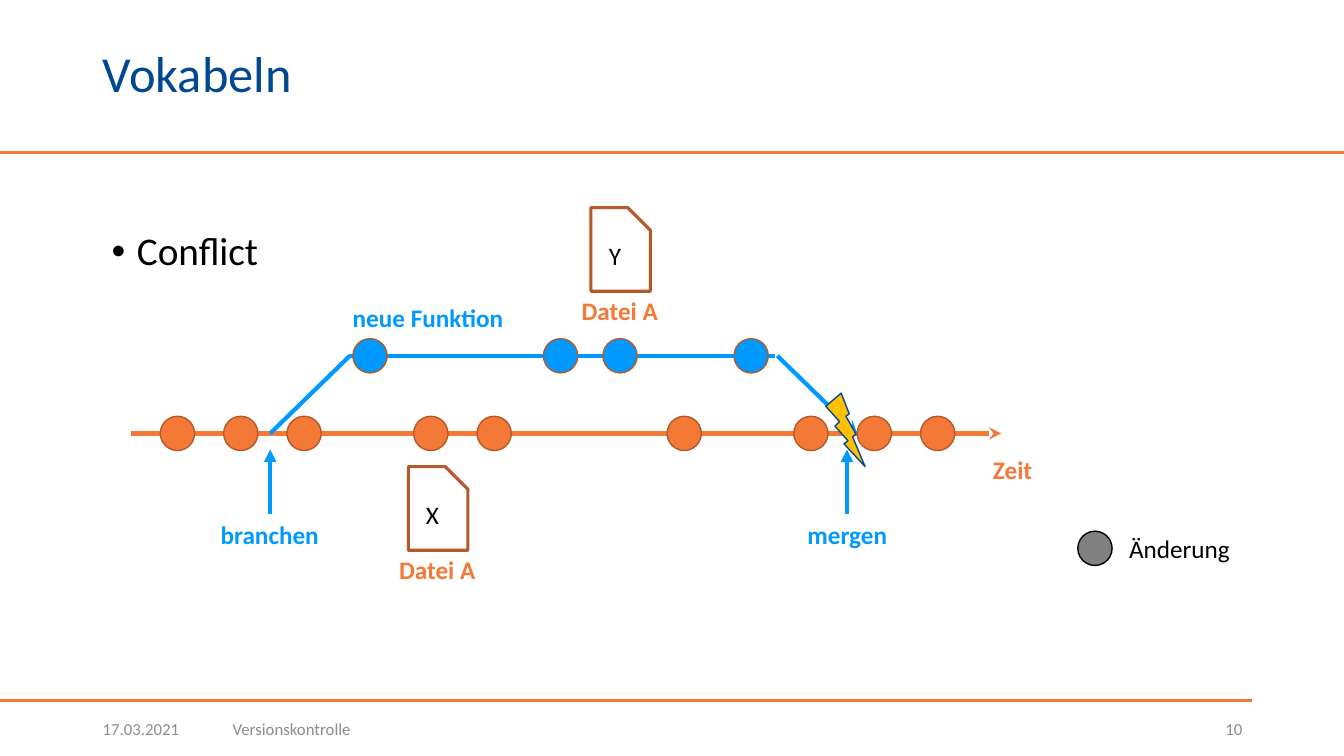
from lxml import etree
from pptx import Presentation
from pptx import util as u
from pptx.dml.color import RGBColor
from pptx.enum import shapes, text
from pptx.oxml.ns import qn

HUES = {"main": "F47836", "rule": "F47936", "edge": "B55928", "branch": "0099FF",
        "navy": "004990", "black": "000000", "grey": "808080", "foot": "8C8C8C",
        "white": "FFFFFF", "bolt": "FFC000"}
KINDS = shapes.MSO_SHAPE
LEFT, MID, RIGHT = text.PP_ALIGN.LEFT, text.PP_ALIGN.CENTER, text.PP_ALIGN.RIGHT
TOP, HALF = text.MSO_ANCHOR.TOP, text.MSO_ANCHOR.MIDDLE


def hue(name):
    return RGBColor.from_string(HUES[name])


class Deck:
    font = "Calibri"
    dot_size = 0.34

    def __init__(self, wide, high):
        self.show = Presentation()
        self.show.slide_width = u.Inches(wide)
        self.show.slide_height = u.Inches(high)
        self.page = self.show.slides.add_slide(self.show.slide_layouts[5])

    def fill_text(self, shape, words, size, color, bold=False, align=LEFT, anchor=TOP, wrap=True):
        frame = shape.text_frame
        frame.text = words
        frame.word_wrap = wrap
        frame.auto_size = text.MSO_AUTO_SIZE.NONE
        frame.vertical_anchor = anchor
        para = frame.paragraphs[0]
        para.alignment = align
        para.font.name = self.font
        para.font.size = u.Pt(size)
        para.font.bold = bold
        para.font.color.rgb = hue(color)
        return para

    def title(self, words, *area):
        shape = self.page.shapes.title
        shape.left, shape.top, shape.width, shape.height = map(u.Inches, area)
        self.fill_text(shape, words, 36, "navy", anchor=HALF).line_spacing = 0.9

    def label(self, words, area, size=18, color="black", **style):
        box = self.page.shapes.add_textbox(*map(u.Inches, area))
        return self.fill_text(box, words, size, color, **style)

    def tag(self, words, left, top, width, color, bold=True):
        self.label(words, (left, top, width, 0.4), color=color, bold=bold, wrap=False)

    def foot(self, words, left, width, align=LEFT):
        self.label(words, (left, 7.03, width, 0.4), 12, "foot", align=align, anchor=HALF)

    def bullet(self, words, *area):
        para = self.label(words, area, 28)
        para.line_spacing = 0.9
        para.space_before = u.Pt(10)
        props = para._p.get_or_add_pPr()
        props.set("marL", str(u.Inches(0.25)))
        props.set("indent", str(u.Inches(-0.25)))
        mark = etree.Element(qn("a:buChar"), char="•")
        face = etree.Element(qn("a:buFont"), typeface="Arial")
        props.find(qn("a:defRPr")).addprevious(face)
        face.addnext(mark)

    def line(self, start, end, color, width=3, head=None, tail=None):
        line = self.page.shapes.add_connector(
            shapes.MSO_CONNECTOR.STRAIGHT, *map(u.Inches, (*start, *end)))
        line.line.color.rgb = hue(color)
        line.line.width = u.Pt(width)
        stroke = line._element.spPr.find(qn("a:ln"))
        for side, tip in (("a:headEnd", head), ("a:tailEnd", tail)):
            if tip:
                etree.SubElement(stroke, qn(side)).set("type", tip)
        etree.SubElement(line._element.spPr, qn("a:effectLst"))

    def shape(self, kind, area, fill, edge, width=1):
        shape = self.page.shapes.add_shape(kind, *map(u.Inches, area))
        shape.shadow.inherit = False
        shape.fill.solid()
        shape.fill.fore_color.rgb = hue(fill)
        shape.line.color.rgb = hue(edge)
        shape.line.width = u.Pt(width)
        return shape

    def dot(self, left, top, fill, edge="edge"):
        self.shape(KINDS.OVAL, (left, top, self.dot_size, self.dot_size), fill, edge)

    def sheet(self, mark, left, top):
        sheet = self.shape(KINDS.SNIP_1_RECTANGLE, (left, top, 0.59, 0.83),
                           "white", "edge", 2.25)
        sheet.adjustments[0] = 0.38
        self.fill_text(sheet, mark, 18, "black", align=MID, anchor=HALF)
        self.tag("Datei A", left - 0.19, top + 0.82, 0.97, "main")


deck = Deck(13.33, 7.5)
deck.line((0, 1.51), (13.33, 1.51), "rule", 2)
deck.line((0, 6.95), (12.42, 6.95), "rule", 2)
deck.title("Vokabeln", 0.92, 0.17, 11.5, 1.18)
deck.bullet("Conflict", 1.01, 2.25, 11.41, 0.56)
deck.foot("17.03.2021", 0.92, 1.17)
deck.foot("Versionskontrolle", 2.21, 9.26)
deck.foot("10", 11.63, 0.79, RIGHT)

main, branch = 4.3, 3.53
deck.line((3.46, branch), (7.69, branch), "branch")
deck.line((1.3, main), (9.93, main), "main", tail="stealth")
first, last, steps = 1.59, 9.13, 12
for step in (0, 1, 2, 4, 5, 8, 10, 11, 12):
    deck.dot(first + step * (last - first) / steps, main - deck.dot_size / 2, "main")
for left in (3.5, 5.39, 5.98, 7.28):
    deck.dot(left, branch - deck.dot_size / 2, "branch")
deck.tag("Zeit", 9.75, 4.46, 0.59, "main")

deck.dot(10.69, 5.27, "grey", "black")
deck.tag("Änderung", 11.1, 5.24, 1.23, "black", bold=False)

deck.line((2.68, main), (3.47, branch), "branch")
deck.line((8.5, main), (7.71, branch), "branch", head="stealth")
for words, left, width, tip in (("branchen", 2.09, 1.18, 2.68), ("mergen", 7.91, 1, 8.4)):
    deck.tag(words, left, 5.1, width, "branch")
    deck.line((tip, 5.1), (tip, 4.46), "branch", tail="triangle")
deck.tag("neue Funktion", 3.4, 2.95, 1.71, "branch")

deck.sheet("Y", 5.86, 2.06)
deck.sheet("X", 4.05, 4.63)
deck.shape(KINDS.LIGHTNING_BOLT, (8.19, 3.9, 0.39, 0.73), "bolt", "navy")
deck.show.save("out.pptx")
